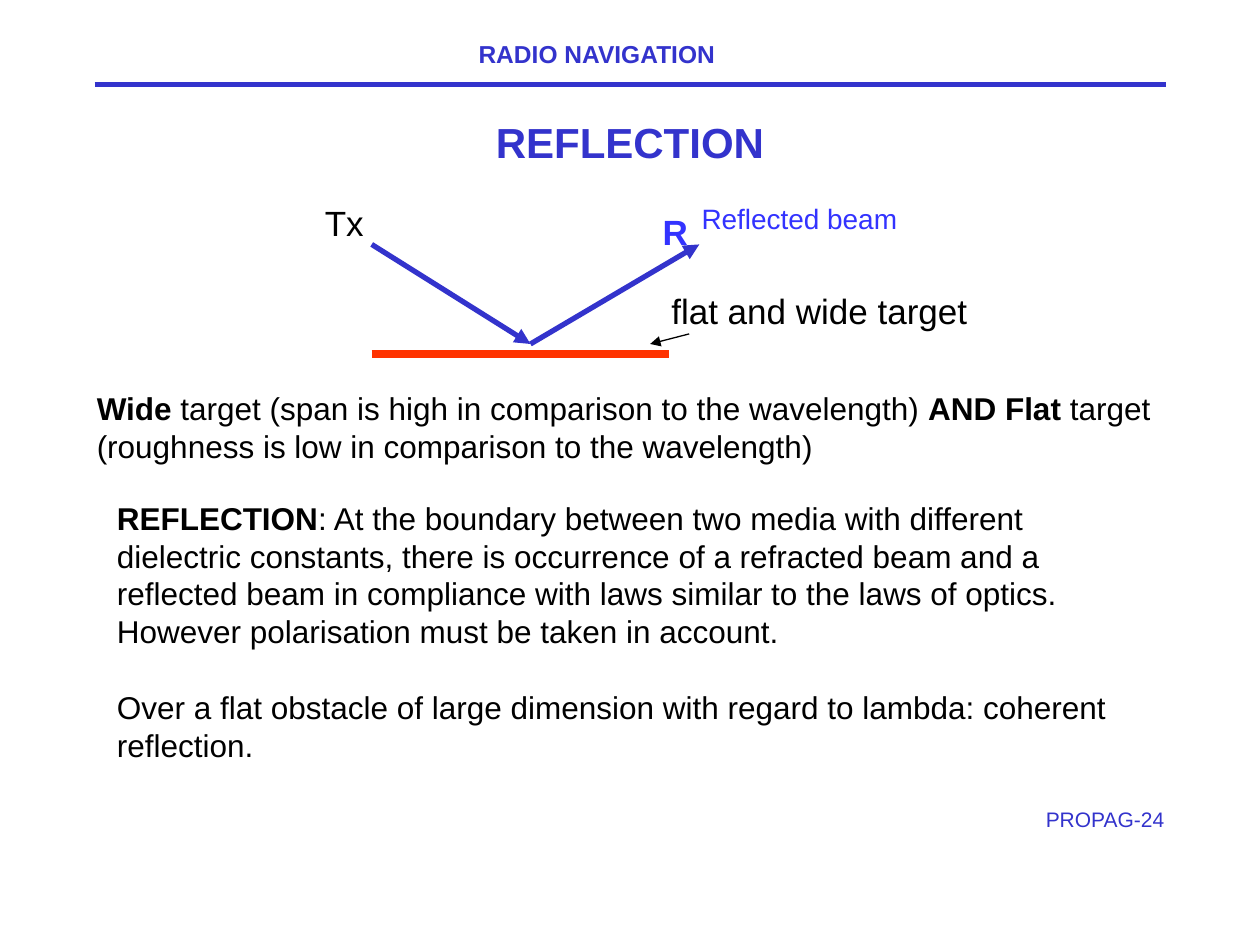
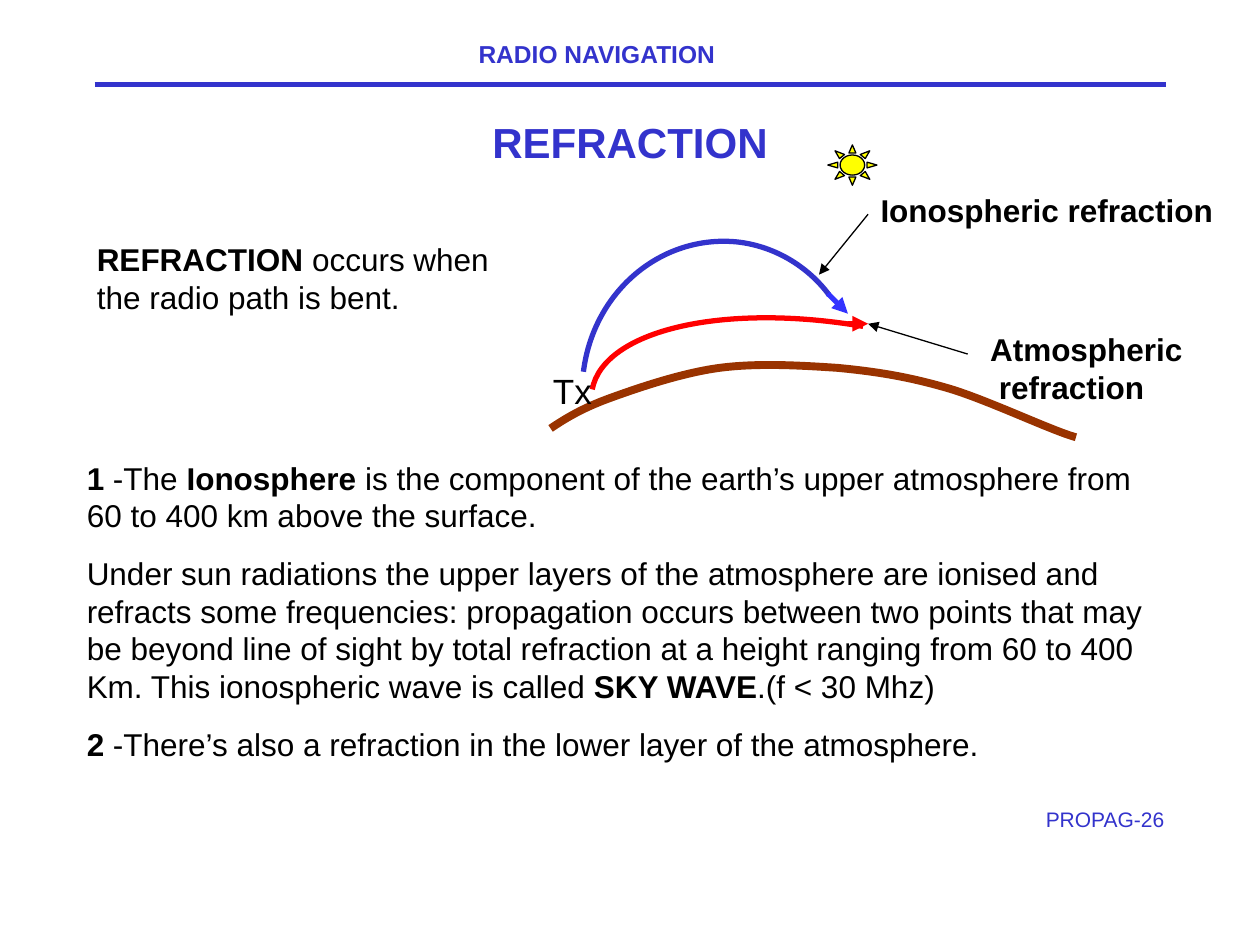
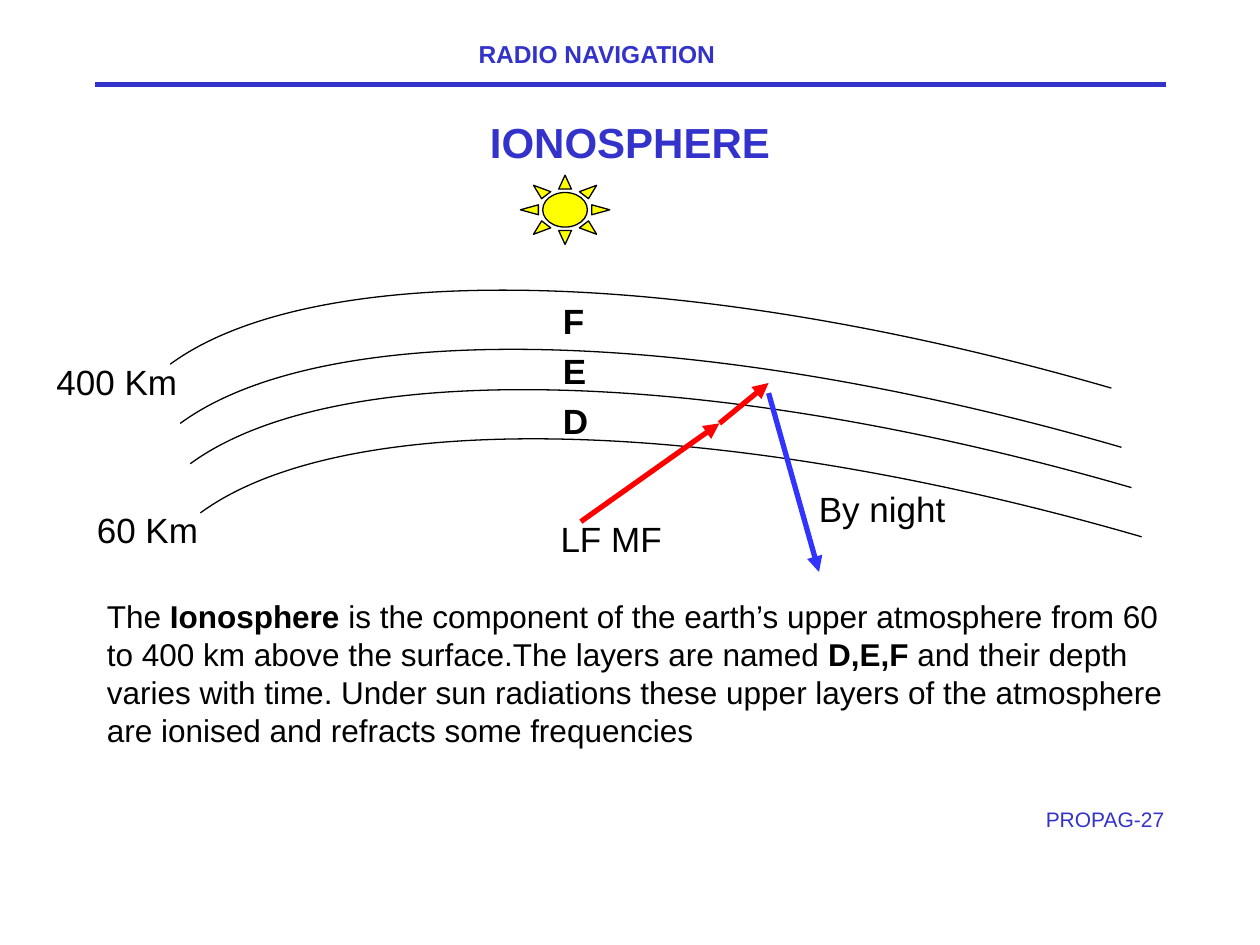
from math import cos, radians, sin
from typing import NamedTuple

from lxml import etree
from pptx import Presentation
from pptx.dml.color import RGBColor
from pptx.enum.shapes import MSO_CONNECTOR, MSO_SHAPE
from pptx.enum.text import MSO_ANCHOR, MSO_AUTO_SIZE, PP_ALIGN
from pptx.oxml.ns import qn
from pptx.shapes.autoshape import Shape
from pptx.slide import Slide
from pptx.util import Inches, Pt

STRAIGHT = MSO_CONNECTOR.STRAIGHT
SUN, RECTANGLE = MSO_SHAPE.SUN, MSO_SHAPE.RECTANGLE
MIDDLE = MSO_ANCHOR.MIDDLE
NO_AUTOFIT = MSO_AUTO_SIZE.NONE
LEFT, CENTER, RIGHT = PP_ALIGN.LEFT, PP_ALIGN.CENTER, PP_ALIGN.RIGHT

NAVY = RGBColor(0x33, 0x33, 0xCC)
BEAM_BLUE = RGBColor(0x33, 0x33, 0xFF)
RED = RGBColor(0xFF, 0x00, 0x00)
TARGET_RED = RGBColor(0xFF, 0x33, 0x00)
EARTH_BROWN = RGBColor(0x99, 0x33, 0x00)
SUN_YELLOW = RGBColor(0xFF, 0xFF, 0x00)
BLACK = RGBColor(0x00, 0x00, 0x00)
WHITE = RGBColor(0xFF, 0xFF, 0xFF)

FONT = "Arial"
TITLE_ONLY = 5

Point = tuple[float, float]


class Box(NamedTuple):
    left: float
    top: float
    width: float
    height: float


class Label(NamedTuple):
    """Text in a box; parts between ** are bold."""
    box: Box
    paragraphs: tuple[str, ...]
    size: float = 20
    color: RGBColor = BLACK
    align: PP_ALIGN = LEFT
    gap: float = 0
    later_indent: float = 0


class Segment(NamedTuple):
    start: Point
    end: Point
    color: RGBColor = BLACK
    width: float = 0.75
    arrow: bool = True


class Curve(NamedTuple):
    """A start point, then three Bezier points for each piece."""
    box: Box
    points: tuple[Point, ...]
    color: RGBColor = BLACK
    width: float = 0.75
    rotation: float = 0


class Preset(NamedTuple):
    box: Box
    kind: MSO_SHAPE = SUN
    fill: RGBColor = SUN_YELLOW
    line: RGBColor = BLACK


# Drawing
def place(shape: Shape, box: Box) -> None:
    for name, value in box._asdict().items():
        setattr(shape, name, Inches(value))


def fill_text(shape: Shape, label: Label) -> None:
    frame = shape.text_frame
    frame.word_wrap = True
    frame.auto_size = NO_AUTOFIT
    for index, marked in enumerate(label.paragraphs):
        paragraph = frame.add_paragraph() if index else frame.paragraphs[0]
        paragraph.alignment = label.align
        paragraph.space_before = Pt(label.gap if index else 0)
        if index and label.later_indent:
            properties = paragraph._p.get_or_add_pPr()
            properties.set("marL", str(Inches(label.later_indent)))
        for part, text in enumerate(marked.split("**")):
            if not text:
                continue
            run = paragraph.add_run()
            run.text = text
            style = {"name": FONT, "size": Pt(label.size), "bold": part % 2 == 1}
            for name, value in style.items():
                setattr(run.font, name, value)
            run.font.color.rgb = label.color


def draw_label(slide: Slide, label: Label) -> None:
    text_box = slide.shapes.add_textbox(0, 0, 0, 0)
    place(text_box, label.box)
    fill_text(text_box, label)


def draw_segment(slide: Slide, segment: Segment) -> None:
    ends = (Inches(value) for value in segment.start + segment.end)
    connector = slide.shapes.add_connector(STRAIGHT, *ends)
    connector.line.color.rgb = segment.color
    connector.line.width = Pt(segment.width)
    properties = connector.element.spPr
    if segment.arrow:
        outline = properties.find(qn("a:ln"))
        etree.SubElement(outline, qn("a:tailEnd"), type="triangle")
    etree.SubElement(properties, qn("a:effectLst"))


def to_local(point: Point, curve: Curve) -> tuple[int, int]:
    """Turn a point on the slide back into the unrotated box of its curve."""
    box, angle = curve.box, radians(curve.rotation)
    dx = point[0] - box.left - box.width / 2
    dy = point[1] - box.top - box.height / 2
    return (Inches(dx * cos(angle) + dy * sin(angle) + box.width / 2),
            Inches(dy * cos(angle) - dx * sin(angle) + box.height / 2))


def draw_curve(slide: Slide, curve: Curve) -> None:
    start, *rest = (to_local(point, curve) for point in curve.points)
    builder = slide.shapes.build_freeform(*start)
    builder.add_line_segments(rest, close=False)
    arc = builder.convert_to_shape()
    place(arc, curve.box)
    arc.rotation = curve.rotation
    arc.shadow.inherit = False
    arc.fill.background()
    arc.line.color.rgb = curve.color
    arc.line.width = Pt(curve.width)

    # Cubic pieces in place of the straight ones
    geometry = next(arc.element.iter(qn("a:path")))
    geometry.set("w", str(Inches(curve.box.width)))
    geometry.set("h", str(Inches(curve.box.height)))
    for child in list(geometry):
        geometry.remove(child)
    pieces = [("a:moveTo", [start])]
    pieces += [("a:cubicBezTo", rest[i:i + 3]) for i in range(0, len(rest), 3)]
    for tag, points in pieces:
        piece = etree.SubElement(geometry, qn(tag))
        for x, y in points:
            etree.SubElement(piece, qn("a:pt"), x=str(x), y=str(y))


def draw_preset(slide: Slide, preset: Preset) -> None:
    shape = slide.shapes.add_shape(preset.kind, 0, 0, 0, 0)
    place(shape, preset.box)
    shape.shadow.inherit = False
    shape.fill.solid()
    shape.fill.fore_color.rgb = preset.fill
    shape.line.color.rgb = preset.line
    shape.line.width = Pt(0.75)


DRAW = {
    Label: draw_label,
    Segment: draw_segment,
    Curve: draw_curve,
    Preset: draw_preset,
}


# Shared frame: header, rule, title and page code
def add_slide(deck: Presentation, title: str, number: int, parts: tuple) -> None:
    slide = deck.slides.add_slide(deck.slide_layouts[TITLE_ONLY])
    heading = Label(Box(0.75, 0.75, 8.5, 0.75), (f"**{title}**",), 24, NAVY, CENTER)
    place(slide.shapes.title, heading.box)
    fill_text(slide.shapes.title, heading)
    slide.shapes.title.text_frame.vertical_anchor = MIDDLE
    frame = (
        Segment((0.75, 0.67), (9.25, 0.67), NAVY, 3, arrow=False),
        Label(Box(3.7, 0.26, 2.16, 0.34), ("**RADIO NAVIGATION**",), 14, NAVY),
        Label(Box(7.76, 6.35, 1.58, 0.42), (f"PROPAG-{number}",), 12, NAVY, RIGHT),
    )
    for part in frame + parts:
        DRAW[type(part)](slide, part)


# Slide contents
BOUNCE = (4.21, 2.73)
REFLECTION = (
    Label(Box(0.83, 3.91, 8.13, 2.2), (
        "**REFLECTION**: At the boundary between two media with different dielectric "
        "constants, there is occurrence of a refracted beam and a reflected beam in "
        "compliance with laws similar to the laws of optics. However polarisation "
        "must be taken in account.",
        "Over a flat obstacle of large dimension with regard to lambda: "
        "coherent reflection.",
    ), 18, gap=21.7),
    Label(Box(0.67, 3.04, 8.63, 0.7), (
        "**Wide** target (span is high in comparison to the wavelength) "
        "**AND Flat** target",
        "(roughness is low in comparison to the wavelength)",
    ), 18),
    Label(Box(5.47, 1.55, 1.77, 0.37), ("Reflected beam",), 16, BEAM_BLUE),
    Segment((2.95, 1.94), BOUNCE, NAVY, 3),
    Segment(BOUNCE, (5.55, 1.94), NAVY, 3),
    Label(Box(5.16, 1.62, 0.42, 0.44), ("**R**",), color=BEAM_BLUE),
    Label(Box(2.48, 1.55, 0.53, 0.44), ("Tx",)),
    Label(Box(5.23, 2.25, 2.6, 0.44), ("flat and wide target",)),
    Segment((2.95, 2.81), (5.31, 2.81), TARGET_RED, 4.5, arrow=False),
    Segment((5.47, 2.65), (5.16, 2.73)),
)

EARTH = (
    (4.37, 3.4), (4.49, 3.32), (4.62, 3.24), (4.84, 3.16), (5.06, 3.08),
    (5.41, 2.96), (5.71, 2.92), (6.01, 2.88), (6.35, 2.9), (6.65, 2.92),
    (6.96, 2.95), (7.21, 2.99), (7.52, 3.08), (7.83, 3.17), (8.35, 3.42),
    (8.54, 3.47),
)
ATMOSPHERIC_PATH = ((6.85, 2.59), (5.74, 2.4), (4.79, 2.62), (4.7, 3.09))
IONOSPHERIC_PATH = (
    (6.58, 2.34), (6.4, 2.1), (6.13, 1.95), (5.85, 1.92),
    (5.25, 1.86), (4.71, 2.31), (4.63, 2.95),
)
REFRACTION = (
    Label(Box(0.59, 3.59, 8.82, 2.52), (
        "**1** -The **Ionosphere** is the component of the earth’s upper atmosphere "
        "from 60 to 400 km above the surface.",
        "Under sun radiations the upper layers of the atmosphere are ionised and "
        "refracts some frequencies: propagation occurs between two points that may be "
        "beyond line of sight by total refraction at a height ranging from 60 to 400 "
        "Km. This ionospheric wave is called **SKY WAVE**.(f < 30 Mhz)",
        "**2** -There’s also a refraction in the lower layer of the atmosphere.",
    ), 18, gap=11.2),
    Label(Box(6.89, 1.47, 2.9, 0.4), ("**Ionospheric refraction**",), 18),
    Segment((6.89, 1.7), (6.5, 2.18)),
    Label(Box(7.76, 2.57, 2.03, 0.7), ("**Atmospheric**", "**refraction**"), 18,
          later_indent=0.07),
    Segment((7.68, 2.81), (6.89, 2.57)),
    Preset(Box(4.69, 2.49, 0.39, 0.16), RECTANGLE, WHITE, WHITE),
    Curve(Box(4.37, 2.88, 4.17, 0.59), EARTH, EARTH_BROWN, 4.5),
    Preset(Box(6.57, 1.15, 0.39, 0.32)),
    Curve(Box(4.76, 2.41, 2.05, 0.87), ATMOSPHERIC_PATH, RED, 3, 190.1),
    Label(Box(4.29, 2.88, 0.53, 0.44), ("Tx",)),
    Segment((6.73, 2.57), (6.89, 2.57), RED, 3),
    Curve(Box(4.68, 1.9, 1.88, 1.18), IONOSPHERIC_PATH, NAVY, 3, 185.9),
    Segment((6.57, 2.33), (6.73, 2.49), BEAM_BLUE, 3),
    Label(Box(0.67, 1.86, 3.54, 1), (
        "**REFRACTION** occurs when the radio path is bent.",), 18),
)

LAYER_TOP = ((8.82, 3.08), (5.51, 2.12), (2.51, 2.04), (1.35, 2.89))
LAYER_OFFSETS = ((0.24, 1.18), (0, 0), (0.16, 0.79), (0.08, 0.47))
LAYER_LINES = tuple(
    Curve(Box(1.38 + right, 2.02 + down, 7.93, 2.84),
          tuple((x + right, y + down) for x, y in LAYER_TOP), rotation=198.2)
    for right, down in LAYER_OFFSETS
)
LAYER_NAMES = tuple(
    Label(Box(4.37, 3.12 - 0.395 * row, 0.4, 0.44), (f"**{name}**",))
    for row, name in enumerate("DEF")
)
LAYER_ENTRY = (5.71, 3.36)
IONOSPHERE = (
    Label(Box(0.75, 4.69, 8.66, 1.3), (
        "The **Ionosphere** is the component of the earth’s upper atmosphere from 60 "
        "to 400 km above the surface.The layers are named **D,E,F** and their depth "
        "varies with time. Under sun radiations these upper layers of the atmosphere "
        "are ionised and refracts some frequencies",
    ), 18),
    Preset(Box(4.13, 1.39, 0.71, 0.55)),
    *LAYER_LINES,
    *LAYER_NAMES,
    Label(Box(0.67, 3.99, 1.05, 0.44), ("60 Km",)),
    Label(Box(0.35, 2.81, 1.2, 0.44), ("400 Km",)),
    Segment((4.61, 4.14), LAYER_ENTRY, RED, 3),
    Segment(LAYER_ENTRY, (6.1, 3.04), RED, 3),
    Segment((6.1, 3.12), (6.5, 4.54), BEAM_BLUE, 3),
    Label(Box(4.35, 4.06, 1.05, 0.44), ("LF MF",)),
    Label(Box(6.4, 3.82, 1.25, 0.44), ("By night",)),
)


def main() -> None:
    deck = Presentation()
    deck.slide_width, deck.slide_height = Inches(10), Inches(7.5)
    add_slide(deck, "REFLECTION", 24, REFLECTION)
    add_slide(deck, "REFRACTION", 26, REFRACTION)
    add_slide(deck, "IONOSPHERE", 27, IONOSPHERE)
    deck.save("out.pptx")


if __name__ == "__main__":
    main()
